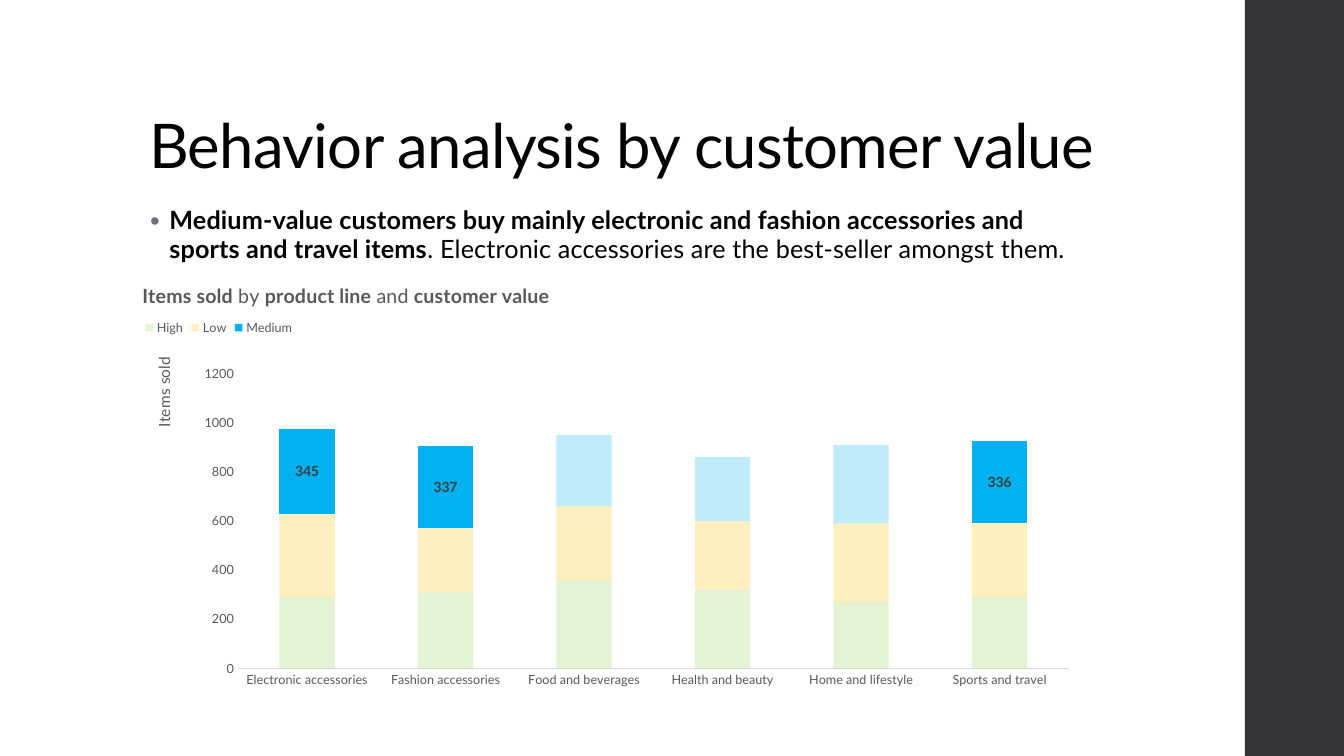
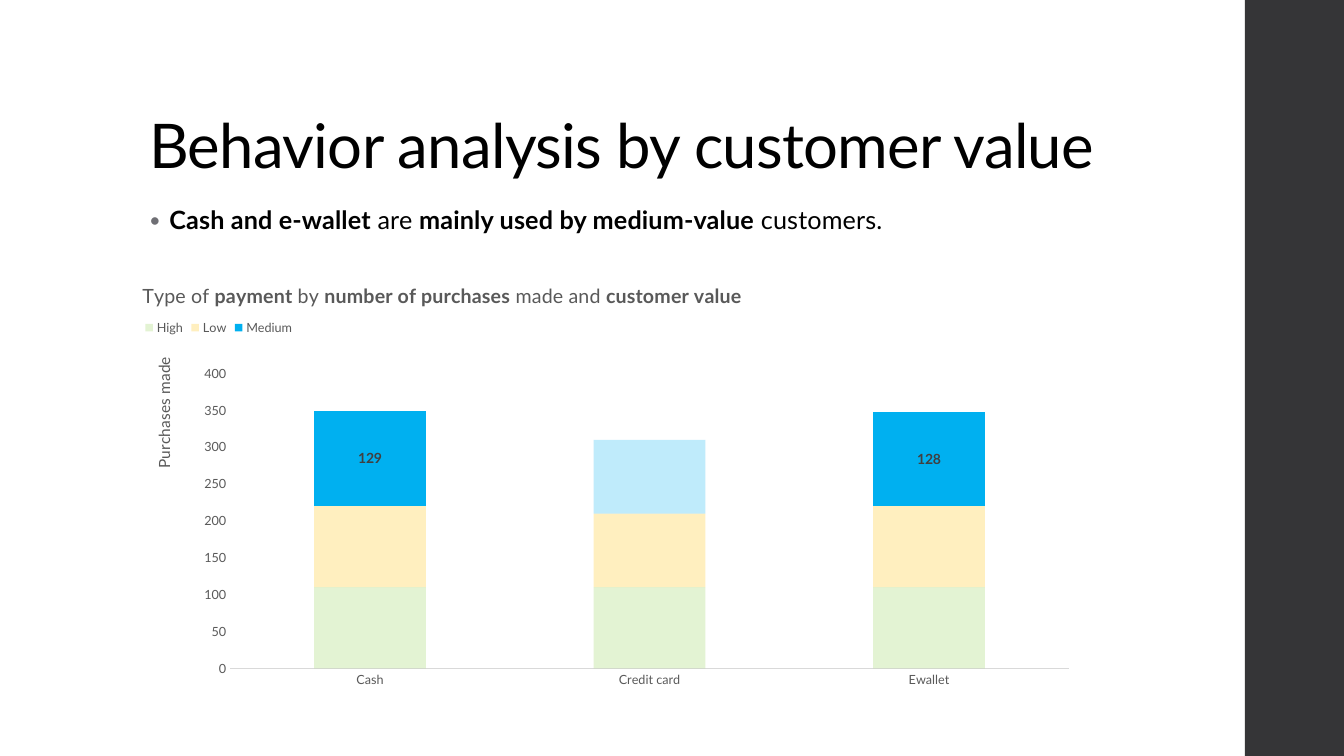
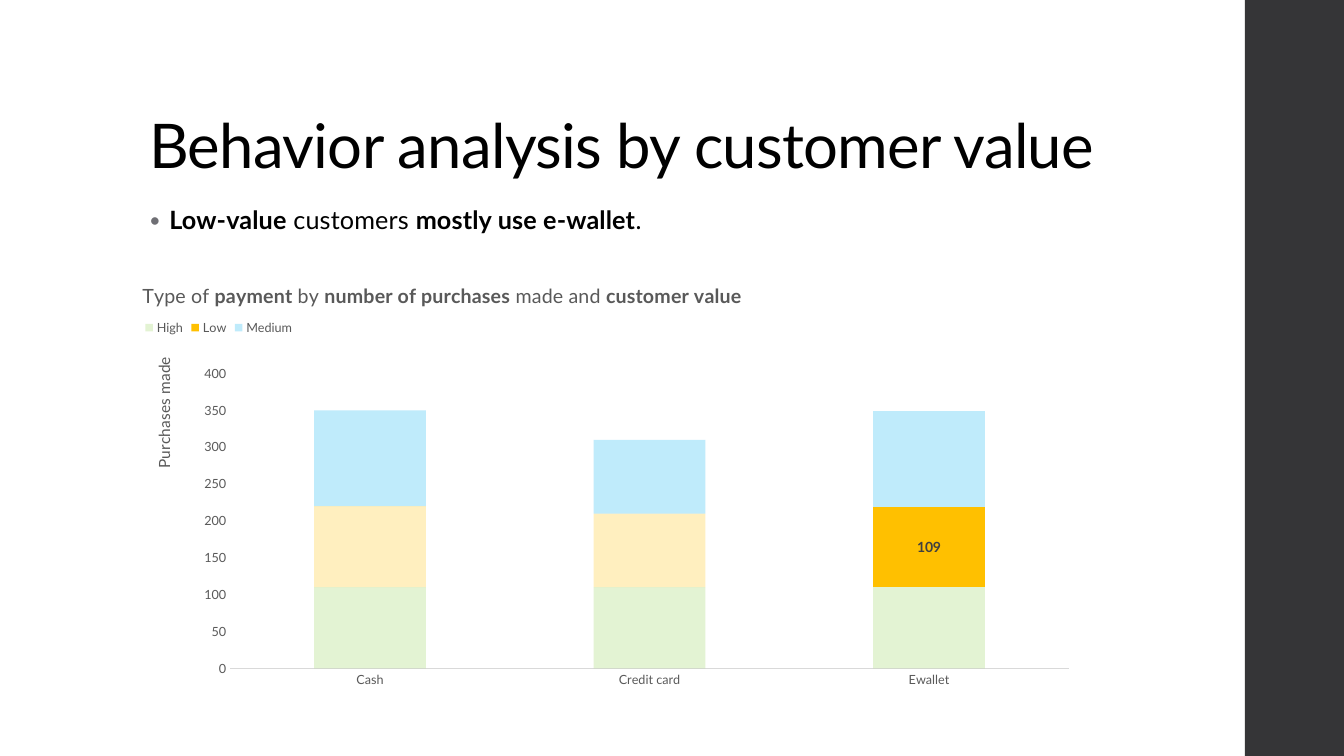
"""Build three slides on customer behavior by customer value."""
from lxml.etree import SubElement
from pptx import Presentation
from pptx.chart.data import CategoryChartData
from pptx.dml.color import RGBColor
from pptx.enum.chart import XL_CHART_TYPE as ChartType
from pptx.enum.chart import XL_LABEL_POSITION as LabelPosition
from pptx.enum.chart import XL_LEGEND_POSITION as LegendPosition
from pptx.enum.chart import XL_TICK_MARK as TickMark
from pptx.enum.shapes import MSO_SHAPE as Preset
from pptx.enum.text import MSO_ANCHOR as Anchor
from pptx.enum.text import MSO_AUTO_SIZE as AutoSize
from pptx.enum.text import PP_ALIGN as Align
from pptx.oxml.ns import qn
from pptx.util import Cm, Pt

COLORS = {
    "text": "000000", "muted": "595959", "label": "404040",
    "band": "353537", "bullet": "6F6F74", "axis": "D9D9D9",
    "High": "92D050", "Low": "FFC000", "Medium": "00B0F0",
}
FONT = "Lato"
LEFT, CONTENT_WIDTH = Cm(3.51), Cm(23.88)


def rgb(name):
    return RGBColor.from_string(COLORS[name])


def style(font, size, color="muted", bold=False):
    font.name, font.size, font.bold = FONT, Pt(size), bold
    font.color.rgb = rgb(color)


def write(paragraph, text, size, color="text", spacing=0, line=None):
    """Write text in which asterisks enclose the bold parts."""
    paragraph.alignment = Align.LEFT
    if line:
        paragraph.line_spacing = line
    for index, part in enumerate(text.split("*")):
        if part:
            run = paragraph.add_run()
            run.text = part
            style(run.font, size, color, bold=index % 2 == 1)
            if spacing:
                run.font._element.set("spc", str(spacing))


def paint(fill, color, faded=False):
    fill.solid()
    fill.fore_color.rgb = rgb(color)
    if faded:
        tone = fill._xPr.find(".//" + qn("a:srgbClr"))
        SubElement(tone, qn("a:alpha"), val="25000")


def place(part, index, **percents):
    """Give a chart part a manual layout in percent of the chart."""
    for automatic in part.findall(qn("c:layout")):
        part.remove(automatic)
    layout = part.makeelement(qn("c:layout"))
    part.insert(index, layout)
    manual = SubElement(layout, qn("c:manualLayout"))
    if "w" in percents:
        SubElement(manual, qn("c:layoutTarget"), val="inner")
    for side in "xy":
        SubElement(manual, qn(f"c:{side}Mode"), val="edge")
    for side, percent in percents.items():
        SubElement(manual, qn(f"c:{side}"), val=str(percent / 100))


class Deck:
    """Holds the shared style and the current slide."""

    def __init__(self):
        self.presentation = Presentation()
        self.presentation.slide_width = Cm(33.87)
        self.presentation.slide_height = Cm(19.05)

    def add_slide(self, title):
        self.slide = self.presentation.slides.add_slide(self.presentation.slide_layouts[5])
        self.add_band()
        heading = self.slide.shapes.title
        heading.left, heading.top = LEFT, Cm(1.02)
        heading.width, heading.height = Cm(26.92), Cm(3.68)
        frame = heading.text_frame
        frame.vertical_anchor = Anchor.BOTTOM
        frame.auto_size = AutoSize.NONE
        write(frame.paragraphs[0], title, size=44, spacing=-50, line=0.9)

    def add_band(self):
        band = self.slide.shapes.add_shape(Preset.RECTANGLE, Cm(31.37), 0, Cm(2.5), Cm(19.05))
        band.shadow.inherit = False
        band.line.fill.background()
        paint(band.fill, "band")

    def add_finding(self, text):
        frame = self.slide.shapes.add_textbox(LEFT, Cm(5.08), CONTENT_WIDTH, Cm(1.9)).text_frame
        frame.word_wrap = True
        finding = frame.paragraphs[0]
        write(finding, text, size=18, spacing=10, line=0.95)
        properties = finding._p.get_or_add_pPr()
        indent = Cm(0.51)
        properties.set("marL", str(indent))
        properties.set("indent", str(-indent))
        tone = SubElement(properties, qn("a:buClr"))
        SubElement(tone, qn("a:srgbClr"), val=COLORS["bullet"])
        SubElement(properties, qn("a:buSzPct"), val="80000")
        SubElement(properties, qn("a:buFont"), typeface=FONT)
        SubElement(properties, qn("a:buChar"), char="•")

    def add_stacked_chart(self, title, axis_title, categories, series, highlights,
                          top, step, plot_left):
        """Draw stacked columns; highlights maps a series to its strong points."""
        content = CategoryChartData()
        content.categories = categories
        for name, values in series.items():
            content.add_series(name, values)
        chart = self.slide.shapes.add_chart(
            ChartType.COLUMN_STACKED, LEFT, Cm(7.01), CONTENT_WIDTH, Cm(10.54), content).chart
        style(chart.font, 10, "text")
        write(chart.chart_title.text_frame.paragraphs[0], title, size=14, color="muted")

        chart.has_legend = True
        chart.legend.position = LegendPosition.TOP
        chart.legend.include_in_layout = False
        style(chart.legend.font, 9)
        self.format_axes(chart, axis_title, top, step)

        plot = chart.plots[0]
        plot.gap_width, plot.overlap, plot.vary_by_categories = 150, 100, False
        for group in plot.series:
            self.color_series(group, highlights.get(group.name, ()))

        root = chart.element
        place(root.xpath("c:chart/c:title")[0], 1, x=0, y=0.1)
        place(root.xpath("c:chart/c:legend")[0], 1, x=0.2, y=9)
        place(root.xpath(".//c:valAx/c:title")[0], 1, x=1.1, y=18.1)
        place(root.xpath(".//c:plotArea")[0], 0, x=plot_left, y=22.8, w=98.1 - plot_left, h=70.5)

    def format_axes(self, chart, axis_title, top, step):
        amounts, groups = chart.value_axis, chart.category_axis
        for axis in (amounts, groups):
            axis.has_major_gridlines = False
            axis.major_tick_mark = axis.minor_tick_mark = TickMark.NONE
            style(axis.tick_labels.font, 9)
        amounts.minimum_scale, amounts.maximum_scale, amounts.major_unit = 0, top, step
        amounts.format.line.fill.background()
        groups.format.line.color.rgb = rgb("axis")
        groups.format.line.width = Pt(0.75)
        write(amounts.axis_title.text_frame.paragraphs[0], axis_title, size=11, color="muted")
        body = chart.element.xpath(".//c:valAx/c:title//a:bodyPr")[0]
        body.set("rot", "-5400000")
        body.set("vert", "horz")

    def color_series(self, series, strong):
        paint(series.format.fill, series.name, faded=not strong)
        if not strong:
            return
        series.data_labels.show_value = False
        for index in range(len(series.values)):
            point = series.points[index]
            paint(point.format.fill, series.name, faded=index not in strong)
            if index in strong:
                style(point.data_label.font, 10, "label", bold=True)
                point.data_label.position = LabelPosition.CENTER


ITEMS_CHART = dict(
    title="*Items sold* by *product line* and *customer value*",
    axis_title="Items sold", top=1200, step=200, plot_left=10.4,
    categories=["Electronic accessories", "Fashion accessories", "Food and beverages",
                "Health and beauty", "Home and lifestyle", "Sports and travel"])
PAYMENTS_CHART = dict(
    title="Type of *payment* by *number of purchases* made and *customer value*",
    axis_title="Purchases made", top=400, step=50, plot_left=9.6,
    categories=["Cash", "Credit card", "Ewallet"])
STORY = [
    ("*Medium-value customers buy mainly electronic and fashion accessories and sports and "
     "travel items*. Electronic accessories are the best-seller amongst them.",
     ITEMS_CHART,
     {"High": [290, 310, 360, 320, 270, 290],
      "Low": [340, 260, 300, 280, 320, 300],
      "Medium": [345, 337, 290, 260, 320, 336]},
     {"Medium": (0, 1, 5)}),
    ("*Cash and e-wallet *are *mainly used by medium-value *customers.",
     PAYMENTS_CHART,
     {"High": [110, 110, 110], "Low": [110, 100, 110], "Medium": [129, 100, 128]},
     {"Medium": (0, 2)}),
    ("*Low-value* customers *mostly use e-wallet*.",
     PAYMENTS_CHART,
     {"High": [110, 110, 110], "Low": [110, 100, 109], "Medium": [130, 100, 130]},
     {"Low": (2,)}),
]


def main():
    deck = Deck()
    for finding, chart, series, highlights in STORY:
        deck.add_slide("Behavior analysis by customer value")
        deck.add_finding(finding)
        deck.add_stacked_chart(series=series, highlights=highlights, **chart)
    deck.presentation.save("out.pptx")


if __name__ == "__main__":
    main()
